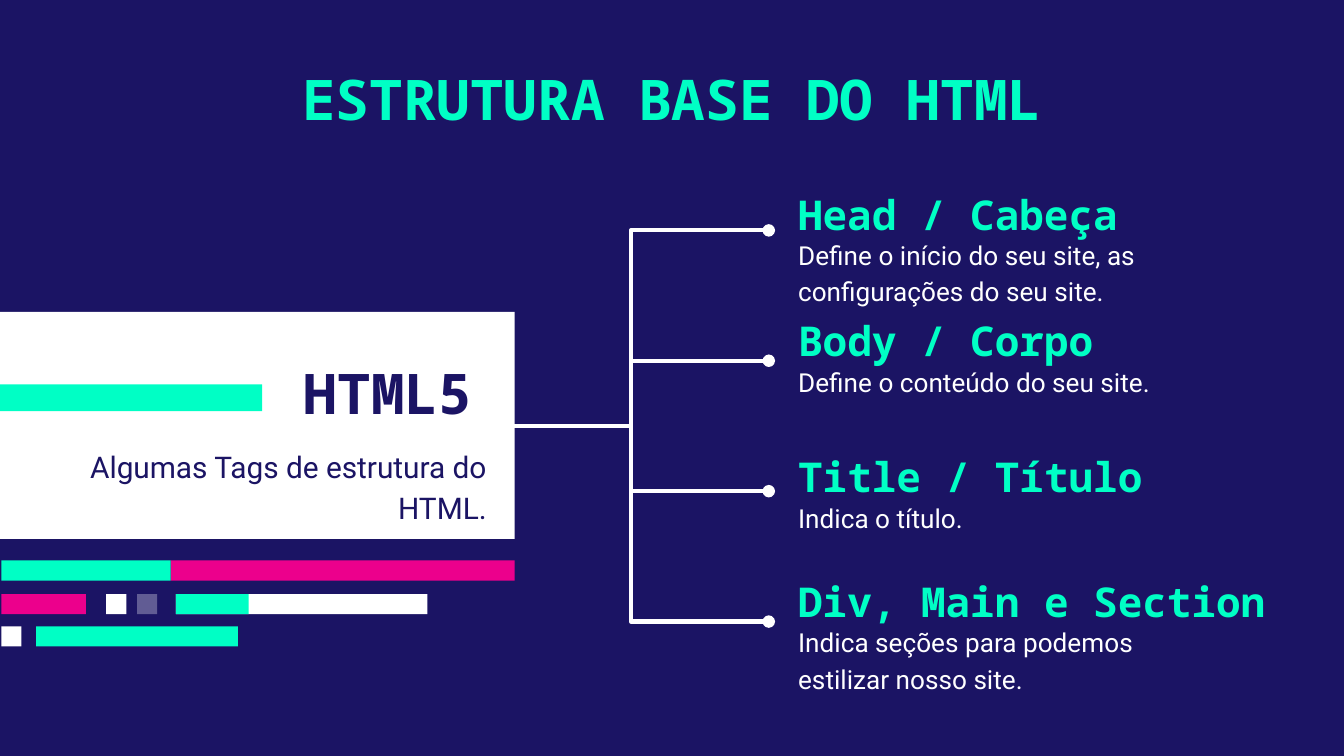
"""Build a slide that lists the base tags of an HTML page."""
from lxml import etree
from pptx import Presentation
from pptx.dml.color import RGBColor as RGB
from pptx.enum.shapes import MSO_CONNECTOR as LINK, MSO_SHAPE as SHAPE
from pptx.enum.text import MSO_ANCHOR as ANCHOR, PP_ALIGN as ALIGN
from pptx.oxml.ns import qn
from pptx.util import Inches, Pt

HUES = {"navy": "1B1464", "mint": "00FFC5", "pink": "EC008C", "white": "FFFFFF"}
MONO, SANS = "Noto Sans Mono", "Roboto"


def add_text(text, box, size, hue="mint", font=MONO, bold=True,
             align=ALIGN.LEFT, anchor=ANCHOR.MIDDLE, space=None):
    frame = slide.shapes.add_textbox(*map(Inches, box)).text_frame
    frame.word_wrap = True
    frame.vertical_anchor = anchor
    frame.margin_left = frame.margin_right = Inches(0.1)
    frame.margin_top = frame.margin_bottom = 0
    para = frame.paragraphs[0]
    para.alignment = align
    para.line_spacing = space
    run = para.add_run()
    run.text = text
    run.font.name = font
    run.font.size = Pt(size)
    run.font.bold = bold
    run.font.color.rgb = RGB.from_string(HUES[hue])


def add_bar(left, top, width, height, hue):
    bar = slide.shapes.add_shape(SHAPE.RECTANGLE, *map(Inches, (left, top, width, height)))
    bar.shadow.inherit = False
    bar.fill.solid()
    bar.fill.fore_color.rgb = RGB.from_string(HUES[hue])
    bar.line.fill.background()
    return bar


deck = Presentation()
deck.slide_width = Inches(10)
deck.slide_height = Inches(10 * 9 / 16)
slide = deck.slides.add_slide(deck.slide_layouts[6])
slide.background.fill.solid()
slide.background.fill.fore_color.rgb = RGB.from_string(HUES["navy"])

add_bar(0, 2.32, 3.83, 1.69, "white")
add_text("ESTRUTURA BASE DO HTML", (1.4, 0.48, 7.2, 0.53), 30,
         align=ALIGN.CENTER, anchor=ANCHOR.TOP)
add_text("Algumas Tags de estrutura do HTML.", (0.11, 3.3, 3.61, 0.48), 16, hue="navy",
         font=SANS, bold=False, align=ALIGN.RIGHT, anchor=ANCHOR.TOP, space=1.15)

tags = [
    (1.44, 3.27, "Head / Cabeça", "Define o início do seu site, as configurações do seu site."),
    (2.38, 2.95, "Body / Corpo", "Define o conteúdo do seu site."),
    (3.39, 2.95, "Title / Título", "Indica o título."),
    (4.32, 4.58, "Div, Main e Section", "Indica seções para podemos estilizar nosso site."),
]
for top, width, name, note in tags:
    add_text(name, (5.84, top, width, 0.3), 22)
    add_text(note, (5.84, top + 0.31, 2.95, 0.3), 14, hue="white", font=SANS,
             bold=False, anchor=ANCHOR.TOP, space=1.15)

add_bar(0, 2.86, 1.95, 0.2, "mint")
add_text("HTML5", (0.95, 2.7, 2.66, 0.43), 30, hue="navy", align=ALIGN.RIGHT)

rows = [
    (4.17, [(1.27, 2.56, "pink"), (0.01, 1.26, "mint")]),
    (4.42, [(1.31, 1.87, "white"), (1.31, 0.54, "mint"), (0.01, 0.63, "pink"),
            (0.79, 0.15, "white")]),
    (4.66, [(0.01, 0.15, "white"), (0.27, 1.5, "mint")]),
]
for top, bars in rows:
    for left, width, hue in bars:
        add_bar(left, top, width, 0.15, hue)

faint = add_bar(1.02, 4.42, 0.15, 0.15, "white")
tint = next(faint.fill._xPr.iter(qn("a:srgbClr")))
etree.SubElement(tint, qn("a:alpha"), val="31000")

mid, pitch = 3.17, 0.97
for i in range(len(tags)):
    end = mid + pitch * (i - 1.5)
    link = slide.shapes.add_connector(
        LINK.ELBOW, Inches(3.67), Inches(mid), Inches(5.72), Inches(end))
    link.line.width = Pt(2.25)
    link.line.color.rgb = RGB.from_string(HUES["white"])
    etree.SubElement(link.line._get_or_add_ln(), qn("a:tailEnd"), type="oval")
    etree.SubElement(link._element.spPr, qn("a:effectLst"))

deck.save("out.pptx")
